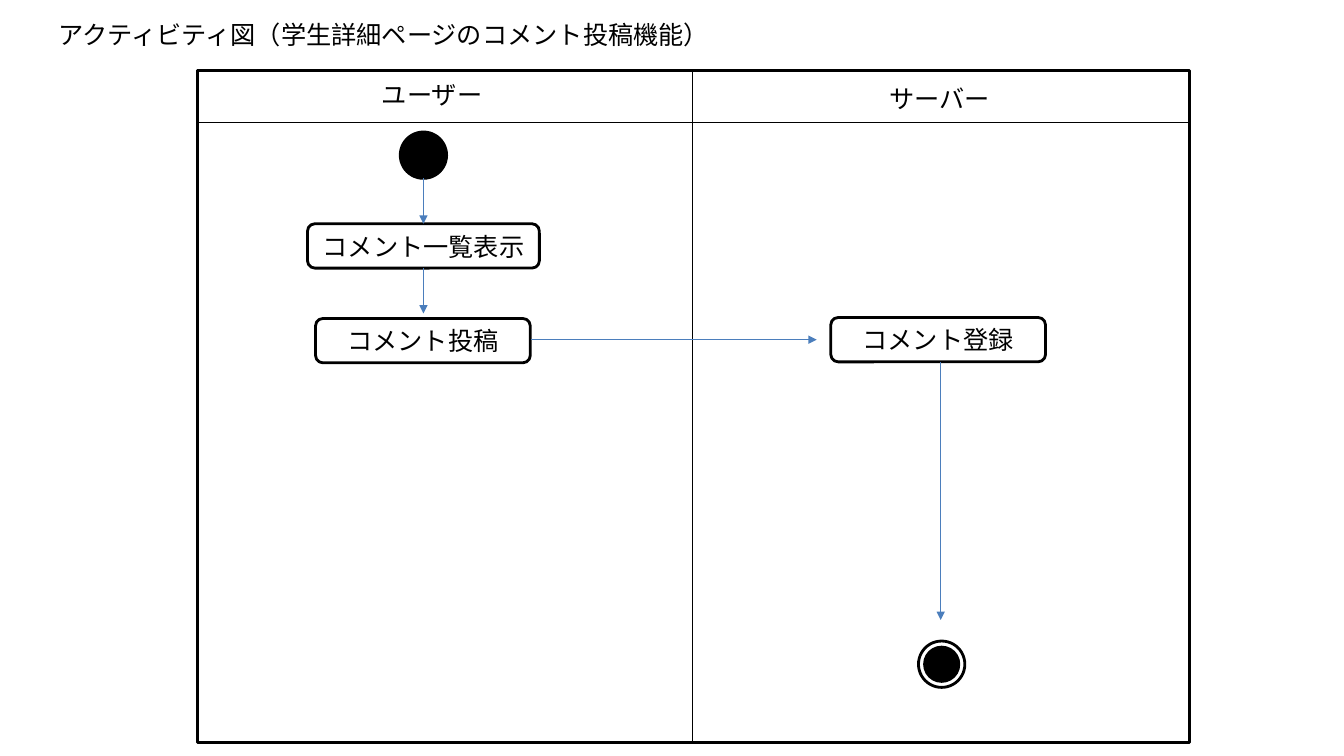
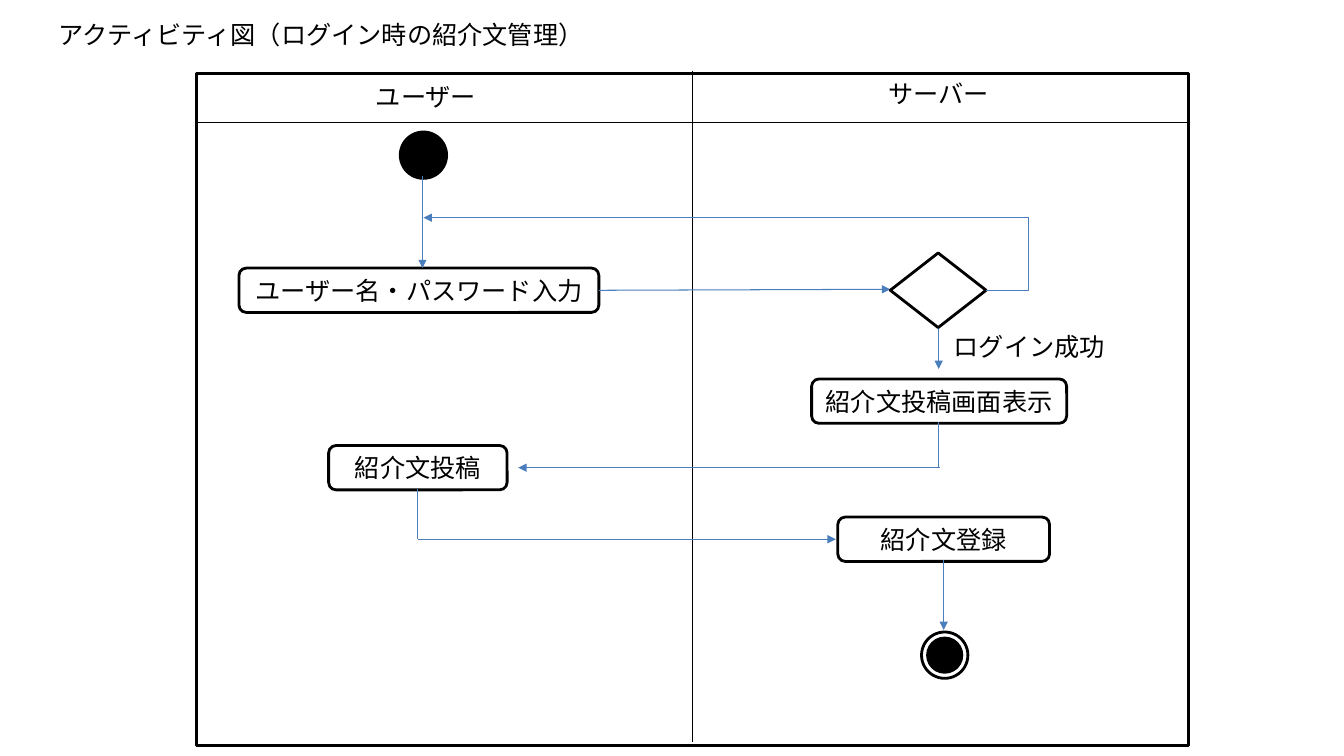
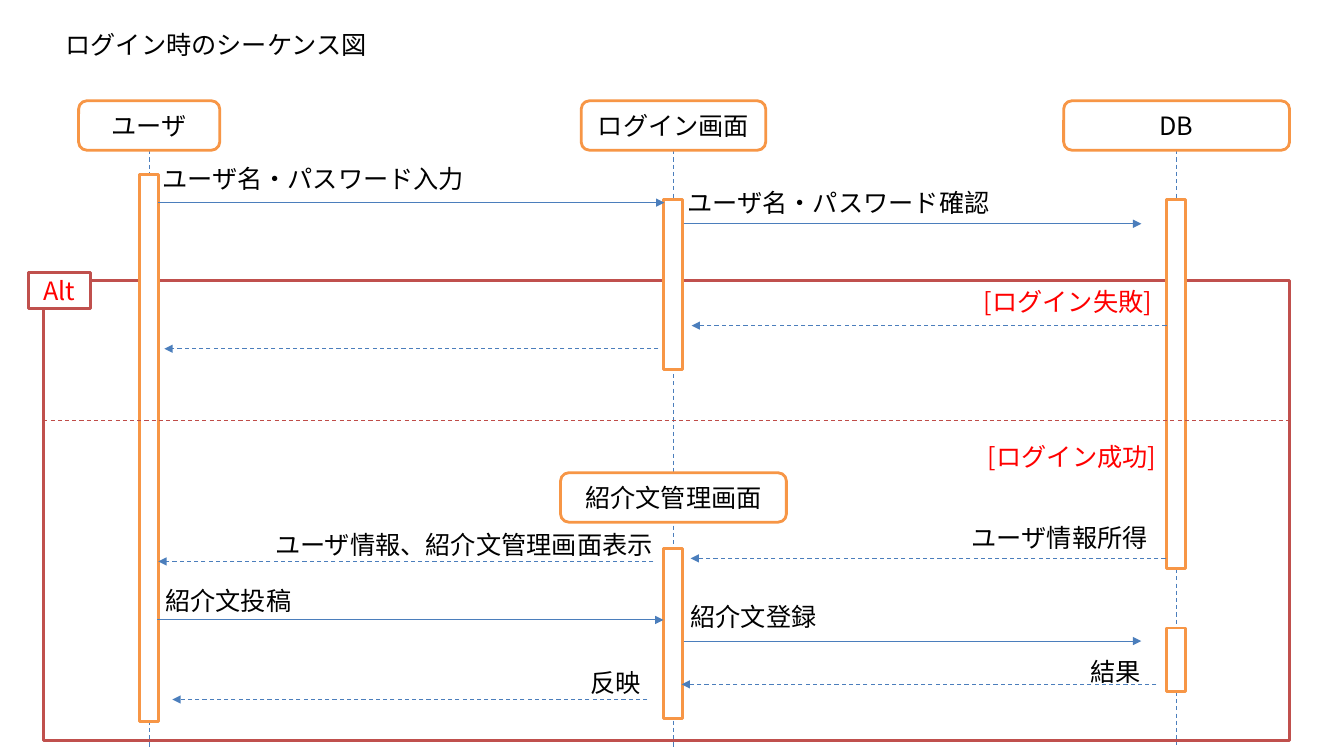
from dataclasses import dataclass

from lxml import etree
from pptx import Presentation
from pptx.dml.color import RGBColor
from pptx.enum import dml, shapes, text
from pptx.oxml import ns
from pptx.util import Inches, Pt


@dataclass(frozen=True)
class Theme:
    font: str = "Noto Sans CJK JP"
    size: int = 18
    thick: float = 2
    thin: float = 0.75
    ink: str = "000000"
    paper: str = "FFFFFF"
    flow: str = "4B7EBC"
    orange: str = "F79646"
    frame: str = "C0504D"
    divider: str = "BF4C48"
    alert: str = "FF0000"


theme = Theme()
preset = shapes.MSO_SHAPE
deck = Presentation()
deck.slide_width, deck.slide_height = Inches(13.33), Inches(7.5)


def write(page, words, at, kind=None, line=theme.ink, fill=theme.paper, color=theme.ink):
    left, top, width, height = [Inches(value) for value in at]
    centered = kind not in (None, "title")
    if kind == "title":
        part = page.shapes.title
        part.left, part.top, part.width, part.height = left, top, width, height
    elif kind is None:
        part = page.shapes.add_textbox(left, top, width, height)
    else:
        part = page.shapes.add_shape(kind, left, top, width, height)
        part.shadow.inherit = False
        part.fill.solid()
        part.fill.fore_color.rgb = RGBColor.from_string(fill)
        part.line.color.rgb = RGBColor.from_string(line)
        part.line.width = Pt(theme.thick)
    if not words:
        return
    body = part.text_frame
    body.word_wrap = True
    body.auto_size = text.MSO_AUTO_SIZE.NONE
    body.vertical_anchor = text.MSO_ANCHOR.MIDDLE if centered else text.MSO_ANCHOR.TOP
    paragraph = body.paragraphs[0]
    paragraph.alignment = text.PP_ALIGN.CENTER if centered else text.PP_ALIGN.LEFT
    run = paragraph.add_run()
    run.text = words
    run.font.name = theme.font
    run.font.size = Pt(theme.size)
    run.font.color.rgb = RGBColor.from_string(color)
    east_asian = etree.SubElement(run.font._element, ns.qn("a:ea"))
    east_asian.set("typeface", theme.font)


def connect(page, ends, color=theme.flow, arrow=False, dashed=False, bend=None):
    kind = shapes.MSO_CONNECTOR.STRAIGHT if bend is None else shapes.MSO_CONNECTOR.ELBOW
    link = page.shapes.add_connector(kind, *[Inches(value) for value in ends])
    link.line.color.rgb = RGBColor.from_string(color)
    link.line.width = Pt(theme.thin)
    if dashed:
        link.line.dash_style = dml.MSO_LINE.DASH
    if arrow:
        etree.SubElement(link.line._get_or_add_ln(), ns.qn("a:tailEnd")).set("type", "triangle")
    properties = link._element.spPr
    etree.SubElement(properties, ns.qn("a:effectLst"))
    if bend is not None:
        guide = etree.SubElement(properties.find(".//" + ns.qn("a:avLst")), ns.qn("a:gd"))
        guide.set("name", "adj1")
        guide.set("fmla", f"val {bend}")


activities = [
    dict(
        title="アクティビティ図(学生詳細ページのコメント投稿機能)".replace("(", "（").replace(")", "）"),
        frame=(1.96, 0.7),
        lanes=[("ユーザー", 3.69, 0.74), ("サーバー", 8.72, 0.78)],
        steps=[
            ("コメント一覧表示", 3.05, 2.22, 2.3),
            ("コメント投稿", 3.13, 3.16, 2.13),
            ("コメント登録", 8.24, 3.15, 2.13),
        ],
        arrows=[
            (4.2, 1.77, 4.2, 2.22),
            (4.2, 2.66, 4.2, 3.11),
            (5.27, 3.37, 8.1, 3.37),
            (9.33, 3.59, 9.33, 6.15),
        ],
        finish=(9.11, 6.36),
    ),
    dict(
        title="アクティビティ図（ログイン時の紹介文管理）",
        frame=(1.95, 0.73),
        lanes=[("ユーザー", 3.63, 0.76), ("サーバー", 8.71, 0.73)],
        steps=[
            ("ユーザー名・パスワード入力", 2.37, 2.66, 3.57),
            ("紹介文投稿画面表示", 8.05, 3.76, 2.53),
            ("紹介文投稿", 3.26, 4.42, 1.77),
            ("紹介文登録", 8.31, 5.13, 2.1),
        ],
        arrows=[
            (4.19, 1.75, 4.19, 2.66),
            (5.94, 2.88, 8.83, 2.87),
            (9.31, 3.24, 9.31, 3.66),
            (7.31, 2.16, 4.2, 2.16),
            (9.32, 4.64, 5.14, 4.64),
            (4.15, 5.35, 8.29, 5.35),
            (9.36, 5.56, 9.36, 6.25),
        ],
        finish=(9.14, 6.27),
    ),
]

for activity in activities:
    page = deck.slides.add_slide(deck.slide_layouts[5])
    write(page, activity["title"], (0.48, 0.14, 10.9, 0.4), "title")
    write(page, "", (*activity["frame"], 9.84, 6.67), preset.RECTANGLE)
    connect(page, (6.87, 0.7, 6.87, 7.36), theme.ink)
    connect(page, (1.96, 1.22, 11.78, 1.22), theme.ink)
    for lane, left, top in activity["lanes"]:
        write(page, lane, (left, top, 2.07, 0.4))
    write(page, "", (3.97, 1.31, 0.46, 0.46), preset.OVAL, fill=theme.ink)
    for step, left, top, width in activity["steps"]:
        write(page, step, (left, top, width, 0.44), preset.ROUNDED_RECTANGLE)
    for ends in activity["arrows"]:
        connect(page, ends, arrow=True)
    left, top = activity["finish"]
    write(page, "", (left, top, 0.46, 0.46), preset.OVAL)
    write(page, "", (left + 0.06, top + 0.06, 0.34, 0.34), preset.OVAL, fill=theme.ink)

write(page, "", (8.83, 2.51, 0.95, 0.74), preset.DIAMOND)
write(page, "ログイン成功", (9.36, 3.24, 1.82, 0.4))
connect(page, (9.78, 2.88, 7.31, 2.16), bend=-16900)
connect(page, (9.31, 4.19, 9.31, 4.64))
connect(page, (4.14, 4.85, 4.14, 5.35))

sequence = deck.slides.add_slide(deck.slide_layouts[5])
write(sequence, "ログイン時のシーケンス図", (0.55, 0.24, 6.79, 0.4), "title")
write(sequence, "", (0.43, 2.78, 12.36, 4.57), preset.RECTANGLE, line=theme.frame)

user, screen, database = 1.48, 6.68, 11.67
for lifeline, bottom in [(user, 7.43), (screen, 7.43), (database, 7.39)]:
    connect(sequence, (lifeline, 1.49, lifeline, bottom), dashed=True)

for participant, center, top, width in [
    ("ユーザ", user, 1, 1.4),
    ("ログイン画面", screen, 1, 1.83),
    ("紹介文管理画面", screen, 4.69, 2.24),
    ("DB", database, 1, 2.24),
]:
    at = (center - width / 2, top, width, 0.49)
    write(sequence, participant, at, preset.ROUNDED_RECTANGLE, line=theme.orange)

for lifeline, top, height in [
    (user, 1.73, 5.43),
    (screen, 1.98, 1.69),
    (screen, 5.44, 1.69),
    (database, 1.98, 3.66),
    (database, 6.23, 0.63),
]:
    at = (lifeline - 0.1, top, 0.19, height)
    write(sequence, "", at, preset.RECTANGLE, line=theme.orange)

write(sequence, "Alt", (0.28, 2.7, 0.62, 0.36), preset.RECTANGLE, line=theme.frame, color=theme.alert)
connect(sequence, (0.43, 4.17, 12.79, 4.17), theme.divider, dashed=True)

for start, end, level in [
    (1.57, 6.59, 2.01),
    (6.78, 11.32, 2.22),
    (11.57, 6.86, 3.23),
    (6.53, 1.63, 3.46),
    (11.56, 6.85, 5.54),
    (6.48, 1.57, 5.57),
    (1.56, 6.58, 6.15),
    (6.78, 11.32, 6.36),
    (11.47, 6.76, 6.79),
    (6.42, 1.71, 6.94),
]:
    connect(sequence, (start, level, end, level), arrow=True, dashed=end < start)

for message, left, top, width in [
    ("ユーザ名・パスワード入力", 1.51, 1.57, 3.49),
    ("ユーザ名・パスワード確認", 6.72, 1.81, 3.57),
    ("ユーザ情報所得", 9.54, 5.13, 2.13),
    ("ユーザ情報、紹介文管理画面表示", 2.63, 5.2, 4.03),
    ("紹介文投稿", 1.54, 5.76, 3.49),
    ("紹介文登録", 6.75, 5.92, 3.57),
    ("結果", 10.72, 6.46, 0.86),
    ("反映", 5.76, 6.57, 0.86),
]:
    write(sequence, message, (left, top, width, 0.4))

for condition, left, top in [("[ログイン失敗]", 9.66, 2.79), ("[ログイン成功]", 9.7, 4.33)]:
    write(sequence, condition, (left, top, 2.13, 0.4), color=theme.alert)

deck.save("out.pptx")
